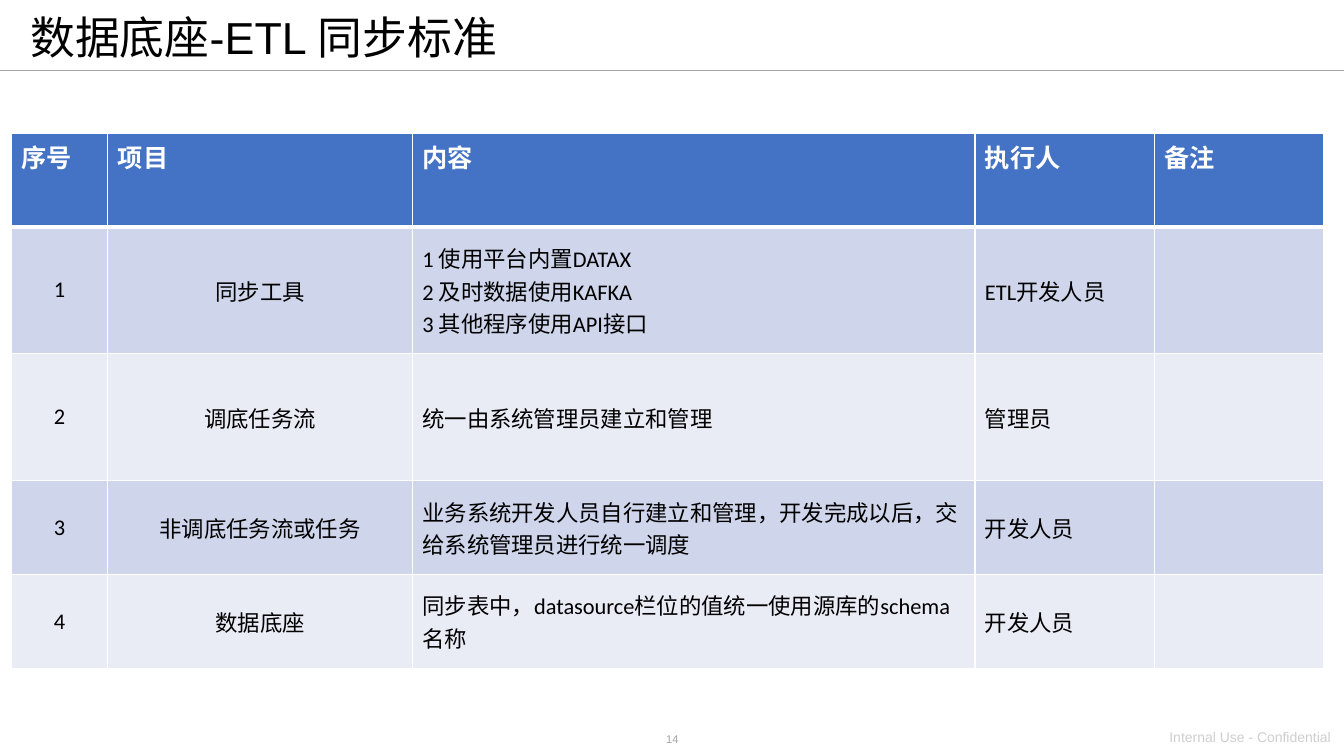
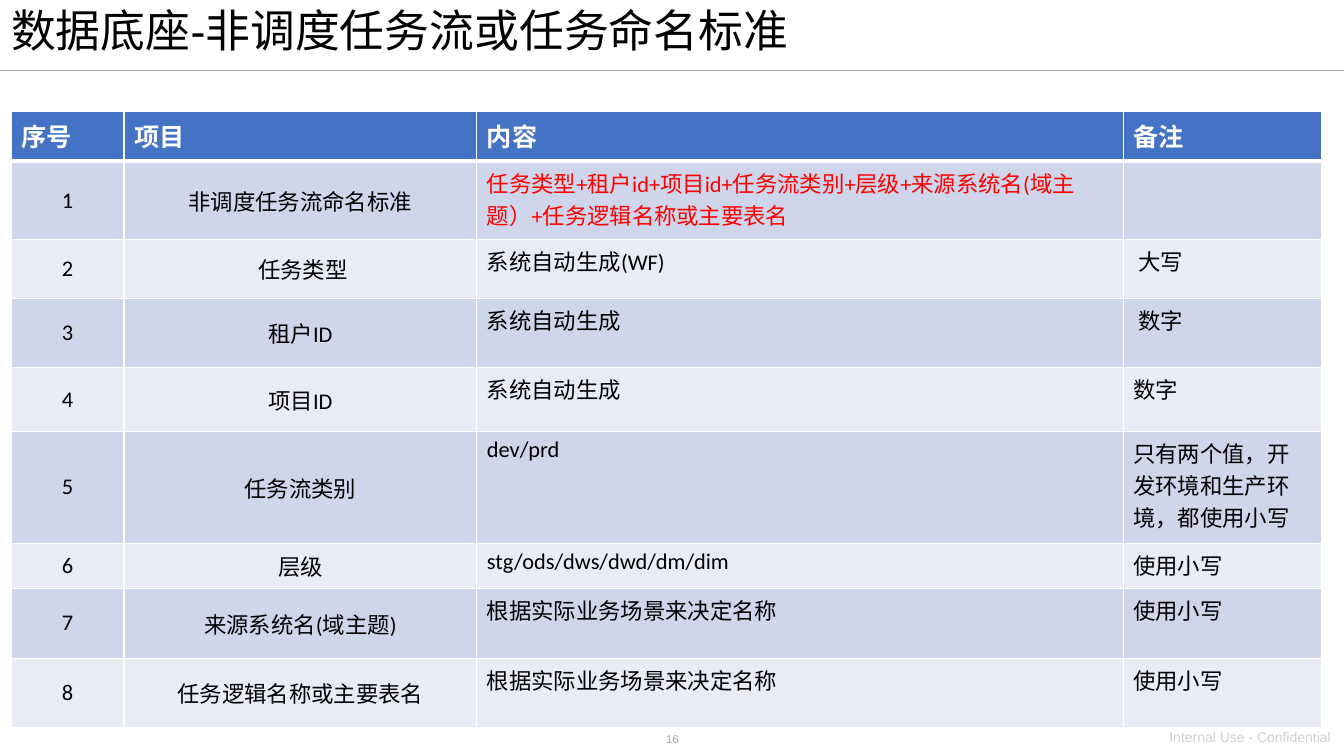
from dataclasses import dataclass

from lxml import etree
from pptx import Presentation
from pptx.dml.color import RGBColor
from pptx.enum import shapes, text
from pptx.oxml import ns
from pptx.util import Inches, Pt


@dataclass(frozen=True)
class Theme:
    title_font: str = "Arial"
    table_font: str = "Calibri"
    black: str = "000000"
    white: str = "FFFFFF"
    red: str = "FF0000"
    rule: str = "A6A6A6"
    label: str = "D0CECE"
    header: str = "4472C4"
    bands: tuple = ("CFD5EA", "E9EBF5")
    title_size: int = 32
    header_size: int = 18
    body_size: int = 16
    label_size: int = 10
    number_size: int = 8


THEME = Theme()
WIDTH, HEIGHT = 13.33, 7.5
RULE_TOP = 0.7
TABLE_LEFT = 0.11
CELL_INSET, CELL_INDENT = 0.1, 0.15
CENTRED_COLUMNS = 2
CONFIDENTIAL = "Internal Use - Confidential"

# "red" and "indented" hold (row, column) positions, the header being row 0.
SLIDES = [
    {
        "title": "数据底座-ETL 同步标准",
        "title_box": (0.2, 0.06, 10.7, 0.68),
        "number": "14",
        "top": 1.32,
        "columns": [0.96, 3.02, 5.58, 1.78, 1.68],
        "heights": [0.93, 1.26, 1.26, 0.93, 0.93],
        "middle_columns": 5,
        "red": [],
        "indented": [],
        "rows": [
            ("序号", "项目", "内容", "执行人", "备注"),
            ("1", "同步工具",
             "1 使用平台内置DATAX\n2 及时数据使用KAFKA\n3 其他程序使用API接口",
             "ETL开发人员", ""),
            ("2", "调底任务流", "统一由系统管理员建立和管理", "管理员", ""),
            ("3", "非调底任务流或任务",
             "业务系统开发人员自行建立和管理，开发完成以后，交给系统管理员进行统一调度",
             "开发人员", ""),
            ("4", "数据底座",
             "同步表中，datasource栏位的值统一使用源库的schema 名称",
             "开发人员", ""),
        ],
    },
    {
        "title": "数据底座-非调度任务流或任务命名标准",
        "title_box": (0.01, -0.01, 10.53, 0.68),
        "number": "16",
        "top": 1.11,
        "columns": [1.12, 3.5, 6.41, 1.97],
        "heights": [0.49, 0.78, 0.58, 0.69, 0.63, 1.11, 0.45, 0.69, 0.69],
        "middle_columns": 2,
        "red": [(1, 2)],
        "indented": [(2, 1), (2, 3), (3, 3)],
        "rows": [
            ("序号", "项目", "内容", "备注"),
            ("1", "非调度任务流命名标准",
             "任务类型+租户id+项目id+任务流类别+层级+来源系统名(域主题）+任务逻辑名称或主要表名",
             ""),
            ("2", "任务类型", "系统自动生成(WF)", "大写"),
            ("3", "租户ID", "系统自动生成", "数字"),
            ("4", "项目ID", "系统自动生成", "数字"),
            ("5", "任务流类别", "dev/prd", "只有两个值，开发环境和生产环境，都使用小写"),
            ("6", "层级", "stg/ods/dws/dwd/dm/dim", "使用小写"),
            ("7", "来源系统名(域主题)", "根据实际业务场景来决定名称", "使用小写"),
            ("8", "任务逻辑名称或主要表名", "根据实际业务场景来决定名称", "使用小写"),
        ],
    },
]


def inches(values):
    return [Inches(v) for v in values]


def set_font(p, name, size, color, bold=False):
    p.font.name = name
    p.font.size = Pt(size)
    p.font.bold = bold
    p.font.color.rgb = RGBColor.from_string(color)


def add_title(slide, title, box):
    sp = slide.shapes.title
    sp.left, sp.top, sp.width, sp.height = inches(box)
    tf = sp.text_frame
    tf.text = title
    tf.word_wrap = True
    tf.auto_size = text.MSO_AUTO_SIZE.NONE
    tf.vertical_anchor = text.MSO_ANCHOR.MIDDLE
    p = tf.paragraphs[0]
    p.alignment = text.PP_ALIGN.LEFT
    p.line_spacing = 0.9
    set_font(p, THEME.title_font, THEME.title_size, THEME.black)


def add_label(slide, label, box, size, color, align):
    tf = slide.shapes.add_textbox(*inches(box)).text_frame
    tf.word_wrap = True
    tf.auto_size = text.MSO_AUTO_SIZE.SHAPE_TO_FIT_TEXT
    p = tf.paragraphs[0]
    p.text = label
    p.alignment = align
    set_font(p, THEME.title_font, size, color)


def add_frame(slide, number):
    """Draw the rule below the title and the two footer labels."""
    rule = slide.shapes.add_connector(
        shapes.MSO_CONNECTOR.STRAIGHT, *inches((0, RULE_TOP, WIDTH, RULE_TOP)))
    rule.line.color.rgb = RGBColor.from_string(THEME.rule)
    rule.line.width = Pt(1)
    etree.SubElement(rule.element.spPr, ns.qn("a:effectLst"))
    add_label(slide, number, (5.79, 7.22, 1.76, 0.24),
              THEME.number_size, THEME.rule, text.PP_ALIGN.CENTER)
    add_label(slide, CONFIDENTIAL, (11.5, 7.18, 1.84, 0.27),
              THEME.label_size, THEME.label, text.PP_ALIGN.LEFT)


def set_borders(cell, **widths):
    """Give the cell white borders; widths in points are keyed L, R, T, B."""
    tcPr = cell._tc.get_or_add_tcPr()
    for side in "LRTB":
        ln = etree.SubElement(tcPr, ns.qn(f"a:ln{side}"),
                              w=str(Pt(widths.get(side, 1))))
        fill = etree.SubElement(ln, ns.qn("a:solidFill"))
        etree.SubElement(fill, ns.qn("a:srgbClr"), val=THEME.white)


def format_cell(cell, row, column, content):
    is_header = row == 0
    if is_header:
        set_borders(cell, B=3)
        fill, size, color = THEME.header, THEME.header_size, THEME.white
    else:
        set_borders(cell, T=3 if row == 1 else 1)
        fill, size = THEME.bands[(row - 1) % 2], THEME.body_size
        color = THEME.red if (row, column) in content["red"] else THEME.black
    cell.fill.solid()
    cell.fill.fore_color.rgb = RGBColor.from_string(fill)

    middle = not is_header and column < content["middle_columns"]
    cell.vertical_anchor = (text.MSO_ANCHOR.MIDDLE if middle
                            else text.MSO_ANCHOR.TOP)
    indented = (row, column) in content["indented"]
    cell.margin_left = Inches(CELL_INDENT if indented else CELL_INSET)
    centred = not is_header and column < CENTRED_COLUMNS
    for p in cell.text_frame.paragraphs:
        p.alignment = text.PP_ALIGN.CENTER if centred else text.PP_ALIGN.LEFT
        set_font(p, THEME.table_font, size, color, bold=is_header)


def add_standards_table(slide, content):
    columns, heights = content["columns"], content["heights"]
    box = (TABLE_LEFT, content["top"], sum(columns), sum(heights))
    table = slide.shapes.add_table(
        len(heights), len(columns), *inches(box)).table
    for column, width in zip(table.columns, inches(columns)):
        column.width = width
    for row, height in zip(table.rows, inches(heights)):
        row.height = height
    for r, values in enumerate(content["rows"]):
        for c, value in enumerate(values):
            cell = table.cell(r, c)
            cell.text = value
            format_cell(cell, r, c, content)


def main():
    prs = Presentation()
    prs.slide_width, prs.slide_height = inches((WIDTH, HEIGHT))
    title_only = prs.slide_layouts[5]
    for content in SLIDES:
        slide = prs.slides.add_slide(title_only)
        add_frame(slide, content["number"])
        add_title(slide, content["title"], content["title_box"])
        add_standards_table(slide, content)
    prs.save("out.pptx")


if __name__ == "__main__":
    main()
